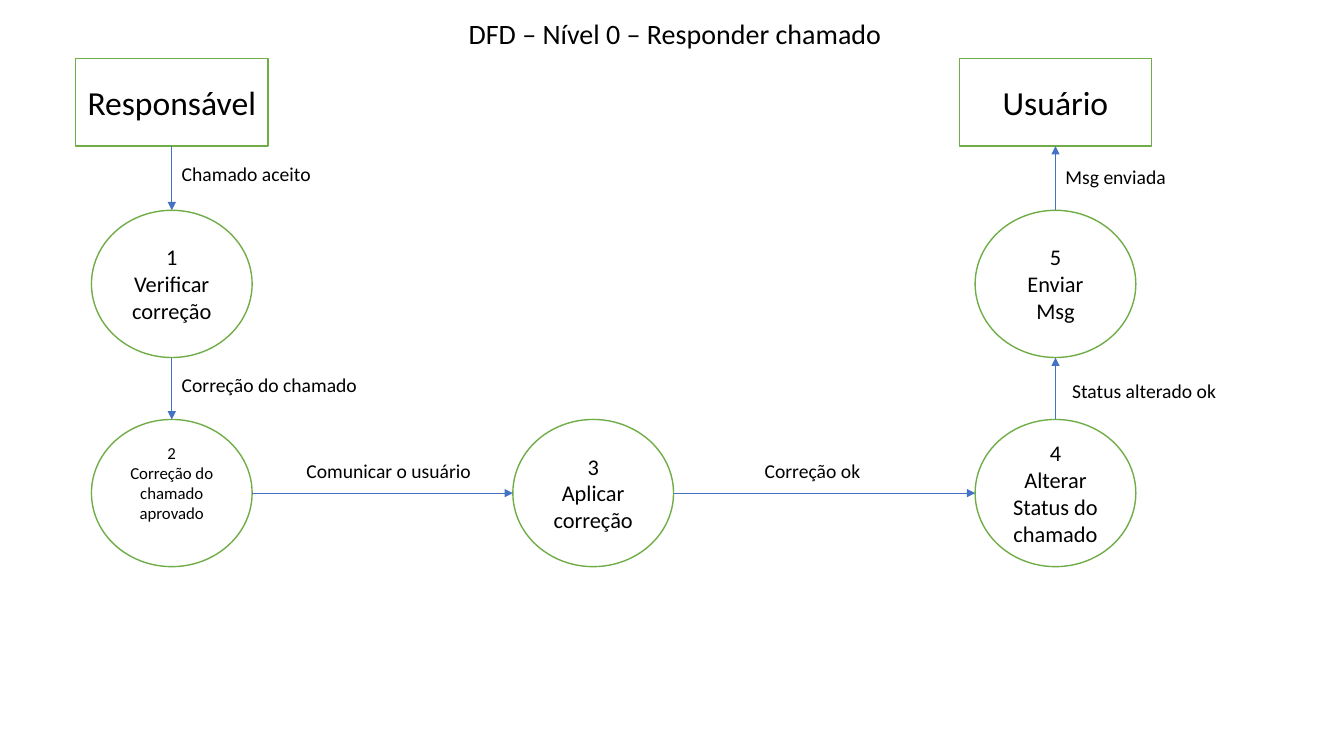
"""Builds the level 0 data flow diagram for answering a support call."""
import pptx
import pptx.util
import pptx.dml.color
import pptx.enum.shapes
import pptx.enum.text
import pptx.oxml
import pptx.oxml.ns

Cm = pptx.util.Cm
Pt = pptx.util.Pt
RGBColor = pptx.dml.color.RGBColor
Shapes = pptx.enum.shapes.MSO_SHAPE
Align = pptx.enum.text.PP_ALIGN
Anchor = pptx.enum.text.MSO_ANCHOR

BLACK = RGBColor(0x00, 0x00, 0x00)
WHITE = RGBColor(0xFF, 0xFF, 0xFF)
GREEN = RGBColor(0x70, 0xAD, 0x47)
BLUE = RGBColor(0x44, 0x72, 0xC4)

LEFT, MIDDLE, RIGHT = 4.33, 14.95, 26.6
ENTITY_TOP, UPPER_TOP, LOWER_TOP = 1.47, 5.3, 10.57
ENTITY_SIZE = (4.85, 2.21)
PROCESS_SIZE = (4.05, 3.71)


def write(box, text, size, align):
    box.text_frame.word_wrap = True
    box.text_frame.text = text
    for para in box.text_frame.paragraphs:
        para.alignment = align
        for span in para.runs:
            span.font.name = "Calibri"
            span.font.size = Pt(size)
            span.font.color.rgb = BLACK


def add_node(kind, center, top, dimensions, text, size):
    width, height = dimensions
    node = page.shapes.add_shape(
        kind, Cm(center - width / 2), Cm(top), Cm(width), Cm(height))
    node.shadow.inherit = False
    node.fill.solid()
    node.fill.fore_color.rgb = WHITE
    node.line.color.rgb = GREEN
    node.line.width = Pt(1)
    node.text_frame.vertical_anchor = Anchor.MIDDLE
    write(node, text, size, Align.CENTER)
    return node


deck = pptx.Presentation()
deck.slide_width, deck.slide_height = Cm(33.87), Cm(19.05)
page = deck.slides.add_slide(deck.slide_layouts[6])

for center, text in [(LEFT, "Responsável"), (RIGHT, "Usuário")]:
    add_node(Shapes.RECTANGLE, center, ENTITY_TOP, ENTITY_SIZE, text, 24)

processes = [
    (LEFT, UPPER_TOP, "1\nVerificar correção", 16),
    (LEFT, LOWER_TOP, "2\nCorreção do chamado aprovado", 12),
    (MIDDLE, LOWER_TOP, "3\nAplicar correção", 16),
    (RIGHT, LOWER_TOP, "4\nAlterar Status do chamado", 16),
    (RIGHT, UPPER_TOP, "5\nEnviar\vMsg", 16),
]
for center, top, text, size in processes:
    process = add_node(Shapes.OVAL, center, top, PROCESS_SIZE, text, size)
    if size == 12:
        process.text_frame.margin_bottom = Cm(0.64)

radius = PROCESS_SIZE[0] / 2
entity_bottom = ENTITY_TOP + ENTITY_SIZE[1]
upper_bottom = UPPER_TOP + PROCESS_SIZE[1]
lower_center = LOWER_TOP + PROCESS_SIZE[1] / 2
flows = [
    (LEFT, entity_bottom, LEFT, UPPER_TOP),
    (LEFT, upper_bottom, LEFT, LOWER_TOP),
    (LEFT + radius, lower_center, MIDDLE - radius, lower_center),
    (MIDDLE + radius, lower_center, RIGHT - radius, lower_center),
    (RIGHT, LOWER_TOP, RIGHT, upper_bottom),
    (RIGHT, UPPER_TOP, RIGHT, entity_bottom),
]
for flow in flows:
    arrow = page.shapes.add_connector(
        pptx.enum.shapes.MSO_CONNECTOR.STRAIGHT, *[Cm(value) for value in flow])
    arrow.line.color.rgb = BLUE
    arrow.line.width = Pt(0.5)
    outline = arrow.line._get_or_add_ln()
    head = pptx.oxml.parse_xml(
        f'<a:tailEnd {pptx.oxml.ns.nsdecls("a")} type="triangle"/>')
    outline.append(head)
    effects = pptx.oxml.parse_xml(f'<a:effectLst {pptx.oxml.ns.nsdecls("a")}/>')
    outline.addnext(effects)

labels = [
    (11.56, 0.3, 11.28, 1.11, "DFD – Nível 0 – Responder chamado", 20),
    (LEFT, 3.96, 5.54, 0.86, "Chamado aceito", 14),
    (LEFT, 9.27, 5.13, 0.86, "Correção do chamado", 14),
    (7.47, 11.43, 4.67, 0.86, "Comunicar o usuário", 14),
    (19.02, 11.43, 4.5, 0.86, "Correção ok", 14),
    (26.77, 9.42, 4.5, 0.86, "Status alterado ok", 14),
    (RIGHT, 4.04, 3.3, 0.86, "Msg enviada", 14),
]
for left, top, width, height, text, size in labels:
    label = page.shapes.add_textbox(Cm(left), Cm(top), Cm(width), Cm(height))
    write(label, text, size, Align.LEFT)

deck.save("out.pptx")
